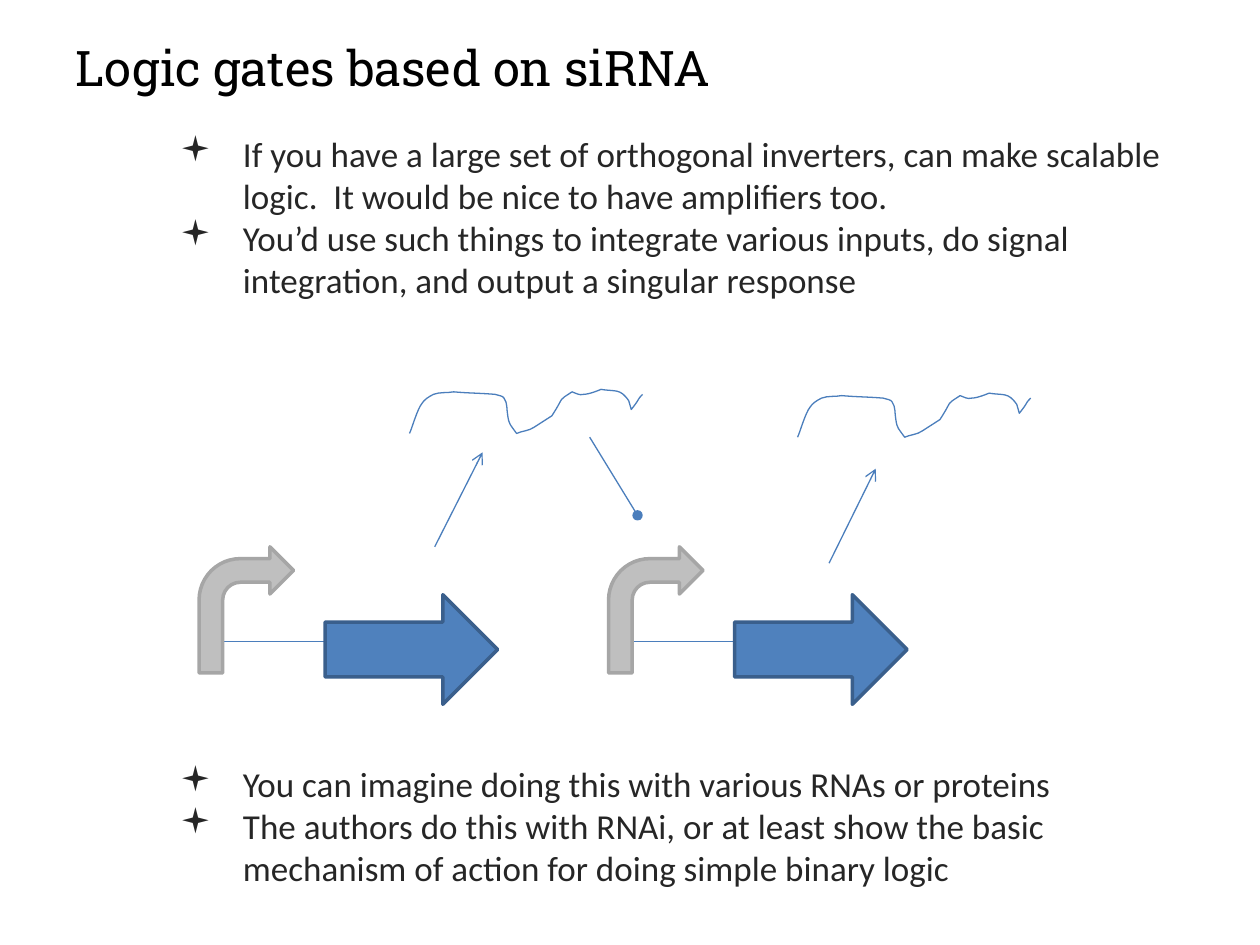
from dataclasses import dataclass

from pptx import Presentation
from pptx.dml.color import RGBColor
from pptx.enum.shapes import MSO_CONNECTOR as CONN, MSO_SHAPE as SHAPE
from pptx.enum.text import MSO_ANCHOR, MSO_AUTO_SIZE, PP_ALIGN
from pptx.oxml.ns import qn
from pptx.util import Pt
from lxml.etree import SubElement

PX = 9144
STROKE = "4B7EBC"


@dataclass(frozen=True)
class Bullet:
    text: str
    gap: int = 0


@dataclass(frozen=True)
class Block:
    kind: SHAPE
    dx: int
    y: int
    w: int
    h: int
    fill: str
    line: str


@dataclass(frozen=True)
class Link:
    x1: int
    y1: int
    x2: int
    y2: int
    end: str = ""


BULLETS = (
    Bullet("If you have a large set of orthogonal inverters, can make scalable logic.  It would be nice to have amplifiers too."),
    Bullet("You’d use such things to integrate various inputs, do signal integration, and output a singular response"),
    Bullet("You can imagine doing this with various RNAs or proteins", 264),
    Bullet("The authors do this with RNAi, or at least show the basic mechanism of action for doing simple binary logic"),
)
GENE_LEFTS = (158, 483)
GENE_BLOCKS = (
    Block(SHAPE.RIGHT_ARROW, 100, 472, 137, 87, "4F81BD", "3A5F8C"),
    Block(SHAPE.BENT_ARROW, 0, 434, 75, 100, "BFBFBF", "A6A6A6"),
)
STRAND_ORIGINS = ((325, 344), (633, 347))
STRAND_CURVES = (
    ((2, -4), (6, -19), (10, -24)),
    ((12, -27), (15, -29), (19, -31)),
    ((24, -33), (30, -32), (35, -33)),
    ((46, -32), (57, -32), (68, -31)),
    ((71, -30), (74, -30), (75, -28)),
    ((78, -24), (77, -19), (78, -14)),
    ((79, -7), (80, -7), (85, 0)),
    ((89, -2), (95, -2), (99, -5)),
    ((113, -14),),
    ((124, -31), (117, -25), (129, -33)),
    ((132, -32), (135, -30), (138, -31)),
    ((143, -31), (152, -35), (152, -35)),
    ((164, -33), (167, -36), (174, -26)),
    ((175, -24), (175, -21), (176, -19)),
    ((184, -29), (180, -26), (185, -31)),
)
SIGNALS = (
    Link(345, 434, 383, 359, "arrow"),
    Link(658, 447, 695, 372, "arrow"),
    Link(468, 347, 506, 409, "oval"),
)


def px(*values: int) -> list[int]:
    return [v * PX for v in values]


def rgb(value: str) -> RGBColor:
    return RGBColor.from_string(value)


def set_font(p, name: str, size: int, color: str) -> None:
    p.font.name, p.font.size = name, Pt(size)
    p.font.color.rgb = rgb(color)


def set_line(s, color: str, width: float) -> None:
    s.line.color.rgb = rgb(color)
    s.line.width = Pt(width)


def add_title(slide, text: str) -> None:
    s = slide.shapes.title
    s.left, s.top, s.width, s.height = px(50, 25, 942, 57)
    tf = s.text_frame
    tf.text = text
    tf.auto_size = MSO_AUTO_SIZE.NONE
    tf.vertical_anchor = MSO_ANCHOR.TOP
    p = tf.paragraphs[0]
    p.alignment = PP_ALIGN.LEFT
    set_font(p, "Roboto Slab", 28, "000000")


def add_bullets(slide) -> None:
    tf = slide.shapes.add_textbox(*px(133, 100, 808, 616)).text_frame
    tf.word_wrap = True
    indent = px(50)[0]
    for i, bullet in enumerate(BULLETS):
        p = tf.add_paragraph() if i else tf.paragraphs[0]
        p.text = bullet.text
        set_font(p, "Calibri", 20, "262626")
        props = p._p.get_or_add_pPr()
        props.set("marL", str(indent))
        props.set("indent", str(-indent))
        props.insert(0, props.makeelement(qn("a:buFont"), {"typeface": "Wingdings", "charset": "2"}))
        props.insert(1, props.makeelement(qn("a:buChar"), {"char": "▪"}))
        if bullet.gap:
            p.space_before = Pt(bullet.gap)


def add_link(slide, link: Link) -> None:
    s = slide.shapes.add_connector(CONN.STRAIGHT, *px(link.x1, link.y1, link.x2, link.y2))
    set_line(s, STROKE, 0.75)
    if link.end:
        SubElement(s.line._get_or_add_ln(), qn("a:tailEnd"), type=link.end)
    SubElement(s._element.spPr, qn("a:effectLst"))


def add_block(slide, block: Block, left: int) -> None:
    s = slide.shapes.add_shape(block.kind, *px(left + block.dx, block.y, block.w, block.h))
    s.shadow.inherit = False
    s.fill.solid()
    s.fill.fore_color.rgb = rgb(block.fill)
    set_line(s, block.line, 2)


def add_gene(slide, left: int) -> None:
    add_link(slide, Link(left, 509, left + 175, 509))
    for block in GENE_BLOCKS:
        add_block(slide, block, left)


def add_strand(slide, x: int, y: int) -> None:
    builder = slide.shapes.build_freeform(*px(x, y))
    ends = [px(x + dx, y + dy) for *_, (dx, dy) in STRAND_CURVES]
    builder.add_line_segments(ends, close=False)
    s = builder.convert_to_shape()
    segments = list(s._element.iter(qn("a:lnTo")))
    for segment, curve in zip(segments, STRAND_CURVES):
        if len(curve) == 3:
            segment.tag = qn("a:cubicBezTo")
            for i, (dx, dy) in enumerate(curve[:2]):
                cx, cy = px(x + dx, y + dy)
                point = {"x": str(cx - s.left), "y": str(cy - s.top)}
                segment.insert(i, segment.makeelement(qn("a:pt"), point))
    s.shadow.inherit = False
    s.fill.background()
    set_line(s, STROKE, 0.75)


def main() -> None:
    prs = Presentation()
    prs.slide_width, prs.slide_height = px(1000, 750)
    slide = prs.slides.add_slide(prs.slide_layouts[5])
    add_title(slide, "Logic gates based on siRNA")
    add_bullets(slide)
    for left in GENE_LEFTS:
        add_gene(slide, left)
    for origin in STRAND_ORIGINS:
        add_strand(slide, *origin)
    for link in SIGNALS:
        add_link(slide, link)
    prs.save("out.pptx")


if __name__ == "__main__":
    main()
